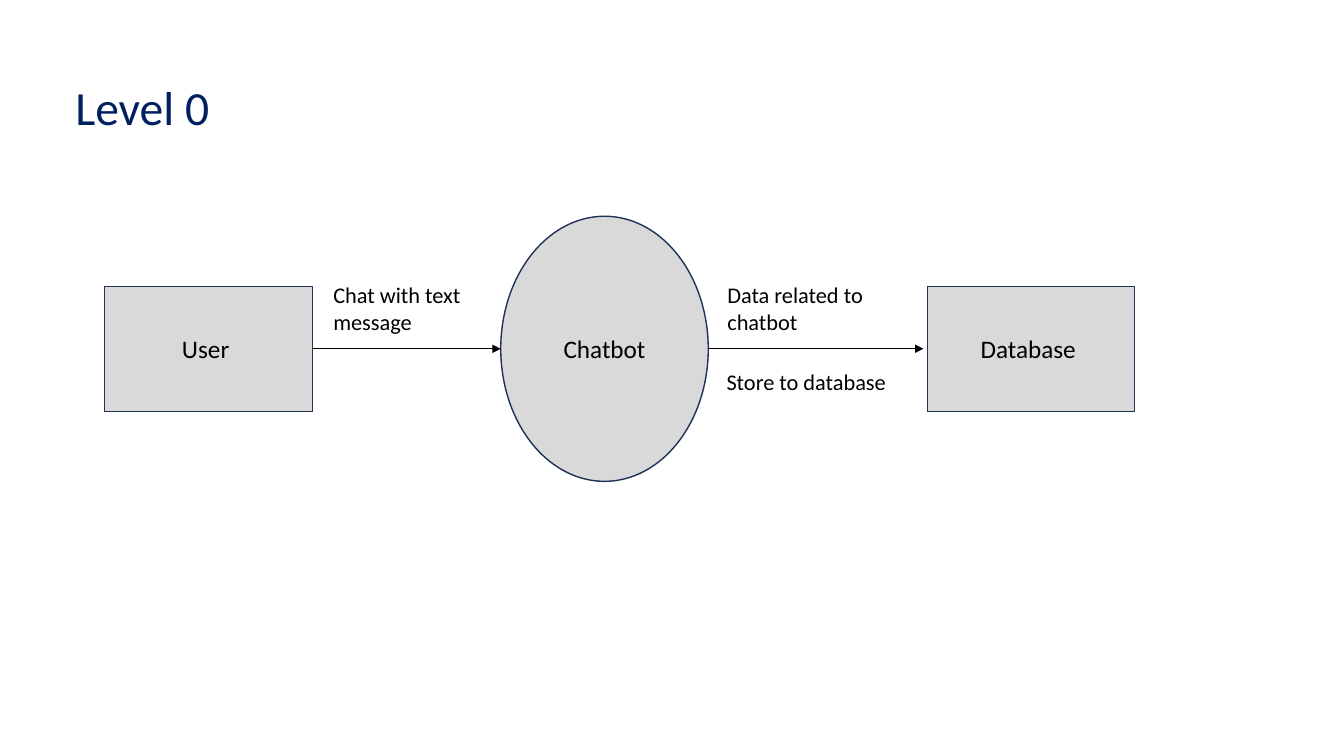
from dataclasses import dataclass

import pptx
import pptx.dml.color
import pptx.enum.shapes
import pptx.enum.text
import pptx.oxml
import pptx.oxml.ns
import pptx.shapes.autoshape
import pptx.shapes.connector
import pptx.slide
import pptx.text.text
import pptx.util

Cm = pptx.util.Cm
Pt = pptx.util.Pt
RGBColor = pptx.dml.color.RGBColor
Align = pptx.enum.text.PP_ALIGN
Anchor = pptx.enum.text.MSO_ANCHOR
Preset = pptx.enum.shapes.MSO_SHAPE

NAVY = RGBColor(0x00, 0x20, 0x60)
OUTLINE = RGBColor(0x1E, 0x32, 0x56)
GREY = RGBColor(0xD9, 0xD9, 0xD9)
BLACK = RGBColor(0x00, 0x00, 0x00)

NODE_WIDTH = 5.23
AXIS_Y = 8.79
RIGHT_SIDE = 3


@dataclass(frozen=True)
class Node:
    """A diagram node centred on the flow axis; lengths in centimetres."""
    text: str
    left: float
    height: float
    preset: Preset = Preset.RECTANGLE

    @property
    def right(self) -> float:
        return self.left + NODE_WIDTH


@dataclass(frozen=True)
class Label:
    text: str
    left: float
    top: float
    height: float
    width: float = NODE_WIDTH
    size: int = 16
    color: RGBColor = BLACK


USER = Node("User ", 2.64, 3.15)
DATABASE = Node("Database ", 23.37, 3.15)
CHATBOT = Node("Chatbot", 12.62, 6.68, Preset.OVAL)

LABELS = (
    Label("Level 0", 1.65, 1.83, 1.7, width=4.34, size=34, color=NAVY),
    Label("Chat with text message", 8.15, 6.96, 1.63),
    Label("Data related to chatbot", 18.08, 6.96, 1.63),
    Label("Store to database", 18.06, 9.14, 0.94),
)


def write_text(frame: pptx.text.text.TextFrame, text: str, *, size: int,
               color: RGBColor = BLACK, align: Align = Align.LEFT,
               anchor: Anchor = Anchor.TOP) -> None:
    frame.word_wrap = True
    frame.vertical_anchor = anchor
    paragraph = frame.paragraphs[0]
    paragraph.alignment = align
    run = paragraph.add_run()
    run.text = text
    run.font.name = "Calibri"
    run.font.size = Pt(size)
    run.font.color.rgb = color


def draw_node(slide: pptx.slide.Slide, node: Node) -> pptx.shapes.autoshape.Shape:
    shape = slide.shapes.add_shape(
        node.preset, Cm(node.left), Cm(AXIS_Y - node.height / 2),
        Cm(NODE_WIDTH), Cm(node.height))
    shape.shadow.inherit = False
    shape.fill.solid()
    shape.fill.fore_color.rgb = GREY
    shape.line.color.rgb = OUTLINE
    shape.line.width = Pt(1)
    write_text(shape.text_frame, node.text, size=18,
               align=Align.CENTER, anchor=Anchor.MIDDLE)
    return shape


def draw_arrow(slide: pptx.slide.Slide, start: float,
               end: float) -> pptx.shapes.connector.Connector:
    """Draw a rightward arrow along the flow axis."""
    arrow = slide.shapes.add_connector(
        pptx.enum.shapes.MSO_CONNECTOR.STRAIGHT,
        Cm(start), Cm(AXIS_Y), Cm(end), Cm(AXIS_Y))
    arrow.line.color.rgb = BLACK
    arrow.line.width = Pt(0.5)
    head = pptx.oxml.parse_xml(
        f'<a:tailEnd {pptx.oxml.ns.nsdecls("a")} type="triangle"/>')
    arrow.line._get_or_add_ln().append(head)
    arrow._element.spPr.append(
        pptx.oxml.parse_xml(f'<a:effectLst {pptx.oxml.ns.nsdecls("a")}/>'))
    return arrow


def draw_label(slide: pptx.slide.Slide, label: Label) -> None:
    box = slide.shapes.add_textbox(
        Cm(label.left), Cm(label.top), Cm(label.width), Cm(label.height))
    write_text(box.text_frame, label.text, size=label.size, color=label.color)
    box.text_frame.auto_size = pptx.enum.text.MSO_AUTO_SIZE.SHAPE_TO_FIT_TEXT


def main() -> None:
    deck = pptx.Presentation()
    deck.slide_width = Cm(33.87)
    deck.slide_height = Cm(19.05)
    slide = deck.slides.add_slide(deck.slide_layouts[6])

    user = draw_node(slide, USER)
    draw_node(slide, DATABASE)
    draw_node(slide, CHATBOT)

    chat_arrow = draw_arrow(slide, USER.right, CHATBOT.left)
    chat_arrow.begin_connect(user, RIGHT_SIDE)
    draw_arrow(slide, CHATBOT.right, DATABASE.left - 0.1)

    for label in LABELS:
        draw_label(slide, label)

    deck.save("out.pptx")


if __name__ == "__main__":
    main()
